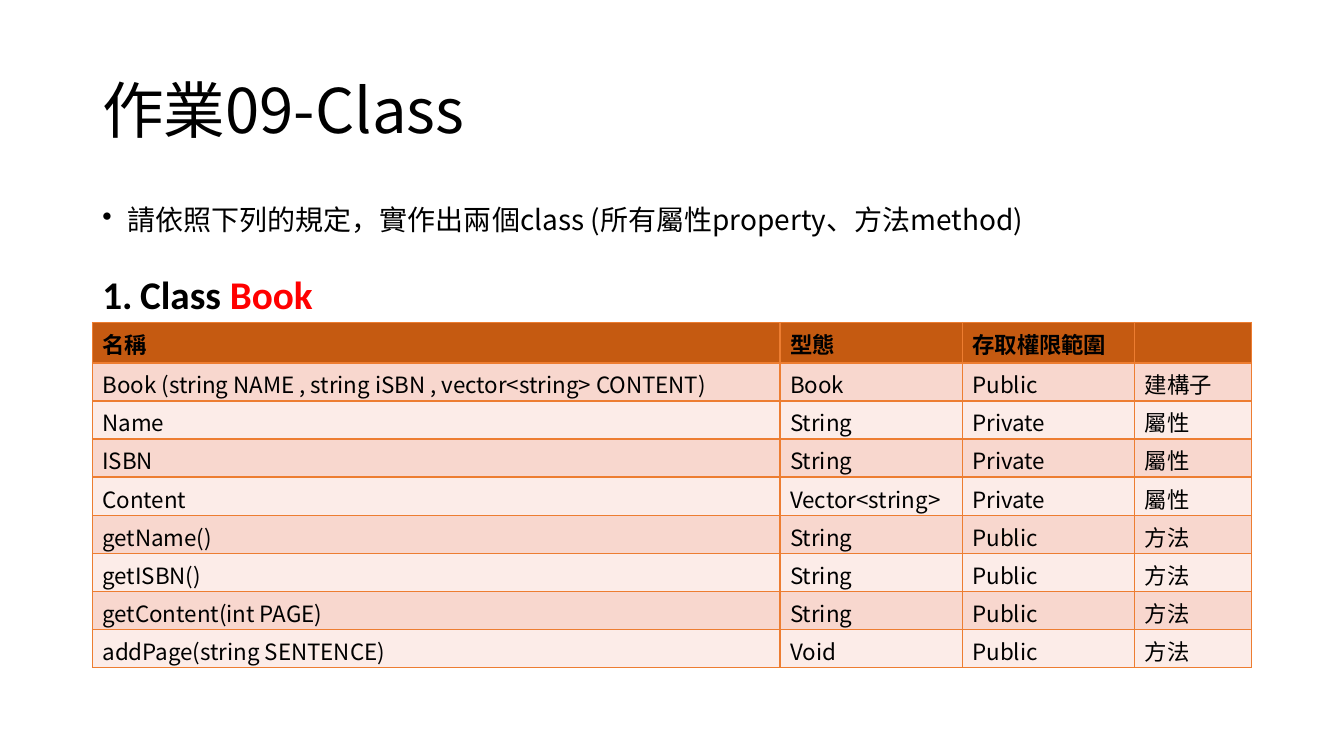
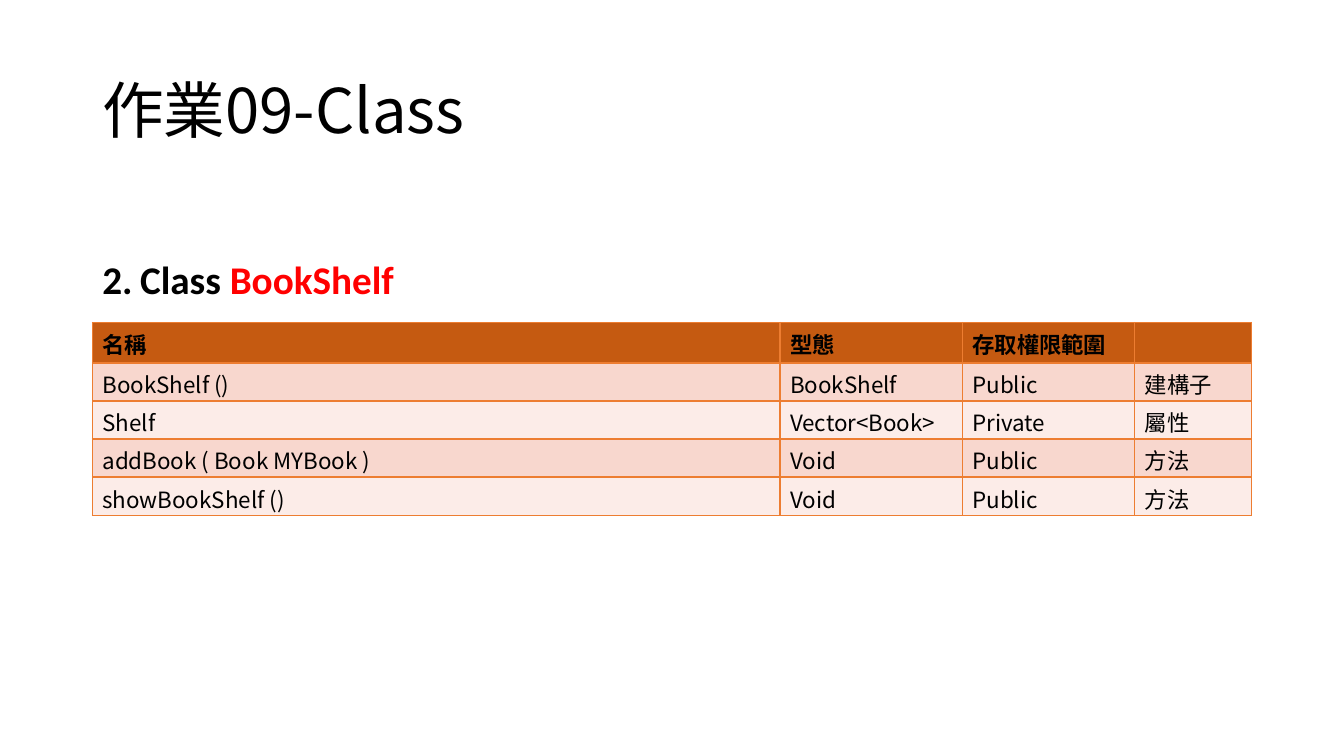
"""Build two homework slides that list the members of two classes."""
from dataclasses import dataclass
from typing import NamedTuple

from lxml.etree import SubElement
from pptx import Presentation
from pptx.dml.color import RGBColor
from pptx.enum.text import MSO_ANCHOR as Anchor, MSO_AUTO_SIZE as AutoSize
from pptx.oxml import parse_xml
from pptx.oxml.ns import nsdecls, qn
from pptx.util import Pt

BLACK, RED = "000000", "FF0000"
HEADER, BANDS, BORDER = "C55A11", ("F8D7CE", "FCECE8"), "ED7D31"
CJK, LATIN = "Noto Sans CJK SC", "Calibri"
LEFT, WIDTH, TABLE_TOP = 66, 828, 230.4
COLUMNS = (491.2, 130.2, 123.1, 83.5)
ROW_HEIGHT = 27.2
HEADINGS = ("名稱", "型態", "存取權限範圍", "")
TITLE = "作業09-Class"


class Box(NamedTuple):
    left: float
    top: float
    width: float
    height: float


class Member(NamedTuple):
    name: str
    type: str
    access: str
    role: str


@dataclass
class ClassSlide:
    number: int
    name: str
    heading: Box
    members: list[Member]
    task: str = ""


SLIDES = [
    ClassSlide(1, "Book", Box(LEFT, 189.4, 166.3, 41.2), [
        Member("Book (string NAME , string iSBN , vector<string> CONTENT)",
               "Book", "Public", "建構子"),
        Member("Name", "String", "Private", "屬性"),
        Member("ISBN", "String", "Private", "屬性"),
        Member("Content", "Vector<string>", "Private", "屬性"),
        Member("getName()", "String", "Public", "方法"),
        Member("getISBN()", "String", "Public", "方法"),
        Member("getContent(int PAGE)", "String", "Public", "方法"),
        Member("addPage(string SENTENCE)", "Void", "Public", "方法"),
    ], "請依照下列的規定，實作出兩個class (所有屬性property、方法method)"),
    ClassSlide(2, "BookShelf", Box(LEFT, 178.6, 225.4, 41.2), [
        Member("BookShelf ()", "BookShelf", "Public", "建構子"),
        Member("Shelf", "Vector<Book>", "Private", "屬性"),
        Member("addBook ( Book MYBook )", "Void", "Public", "方法"),
        Member("showBookShelf ()", "Void", "Public", "方法"),
    ]),
]


def rgb(value: str) -> RGBColor:
    """Turn a hex string into a colour."""
    return RGBColor.from_string(value)


def add_run(p, text: str, size: float, font: str = CJK,
            color: str = BLACK, bold: bool = False) -> None:
    """Add one run with the same font for Latin and East Asian text."""
    r = p.add_run()
    r.text = text
    r.font.size, r.font.bold, r.font.name = Pt(size), bold, font
    r.font.color.rgb = rgb(color)
    SubElement(r.font._element, qn("a:ea"), typeface=font)


def add_text_box(s, box: Box):
    """Add a wrapping text box and return its text frame."""
    tf = s.shapes.add_textbox(*map(Pt, box)).text_frame
    tf.word_wrap = True
    return tf


def add_bullet(p, indent: float, tag: str, **attributes: str) -> None:
    """Give a paragraph a hanging indent and a bullet or number."""
    pPr = p._p.get_or_add_pPr()
    pPr.set("marL", str(Pt(indent)))
    pPr.set("indent", str(-Pt(indent)))
    SubElement(pPr, qn(tag), attributes)


def add_title(s) -> None:
    """Add the shared slide title."""
    tf = add_text_box(s, Box(LEFT, 28.75, WIDTH, 104.4))
    tf.vertical_anchor = Anchor.MIDDLE
    p = tf.paragraphs[0]
    p.line_spacing = 0.9
    add_run(p, TITLE, 44)


def add_task(s, text: str) -> None:
    """Add the bulleted task description."""
    p = add_text_box(s, Box(LEFT, 144, WIDTH, 342.6)).paragraphs[0]
    p.line_spacing, p.space_before = 0.9, Pt(10)
    add_bullet(p, 18, "a:buChar", char="•")
    add_run(p, text, 20)


def add_heading(s, item: ClassSlide) -> None:
    """Add the numbered class heading."""
    tf = add_text_box(s, item.heading)
    tf.word_wrap, tf.auto_size = False, AutoSize.SHAPE_TO_FIT_TEXT
    p = tf.paragraphs[0]
    add_bullet(p, 27, "a:buAutoNum", type="arabicPeriod",
               startAt=str(item.number))
    add_run(p, "Class ", 28, LATIN, bold=True)
    add_run(p, item.name, 28, LATIN, RED, bold=True)


def style_cell(cell, fill: str) -> None:
    """Fill a cell and draw its four borders."""
    cell.fill.solid()
    cell.fill.fore_color.rgb = rgb(fill)
    tcPr = cell._tc.get_or_add_tcPr()
    for i, side in enumerate("LRTB"):
        tcPr.insert(i, parse_xml(
            f'<a:ln{side} {nsdecls("a")} w="{Pt(1)}"><a:solidFill>'
            f'<a:srgbClr val="{BORDER}"/></a:solidFill></a:ln{side}>'))


def add_member_table(s, members: list[Member]) -> None:
    """Add the table of class members under a header row."""
    rows = [HEADINGS, *members]
    box = Box(LEFT, TABLE_TOP, WIDTH, ROW_HEIGHT * len(rows))
    table = s.shapes.add_table(len(rows), len(COLUMNS), *map(Pt, box)).table
    table.horz_banding = False
    for column, width in zip(table.columns, COLUMNS):
        column.width = Pt(width)
    for i, values in enumerate(rows):
        table.rows[i].height = Pt(ROW_HEIGHT)
        for j, text in enumerate(values):
            cell = table.cell(i, j)
            style_cell(cell, BANDS[(i - 1) % 2] if i else HEADER)
            add_run(cell.text_frame.paragraphs[0], text, 16, bold=i == 0)


def build() -> None:
    """Build and save the presentation."""
    prs = Presentation()
    prs.slide_width, prs.slide_height = Pt(960), Pt(540)
    for item in SLIDES:
        s = prs.slides.add_slide(prs.slide_layouts[6])
        add_title(s)
        if item.task:
            add_task(s, item.task)
        add_member_table(s, item.members)
        add_heading(s, item)
    prs.save("out.pptx")


build()
